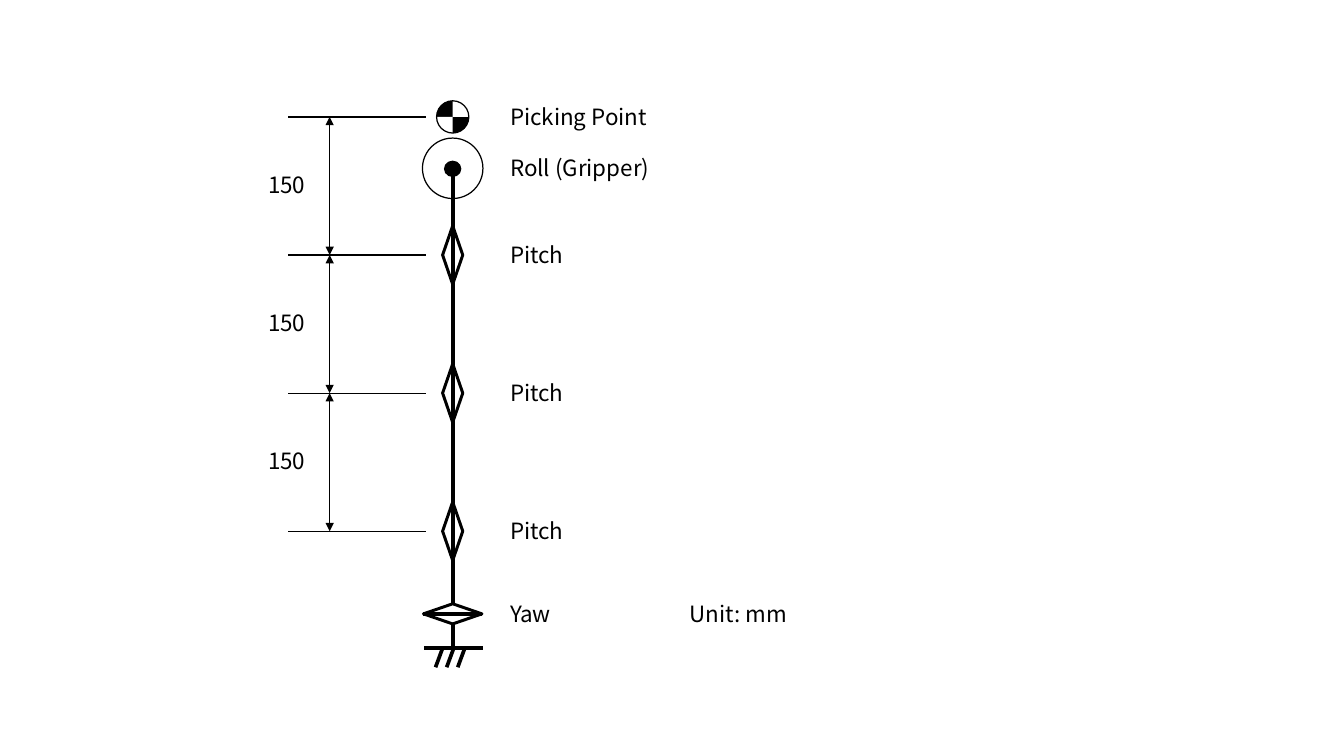
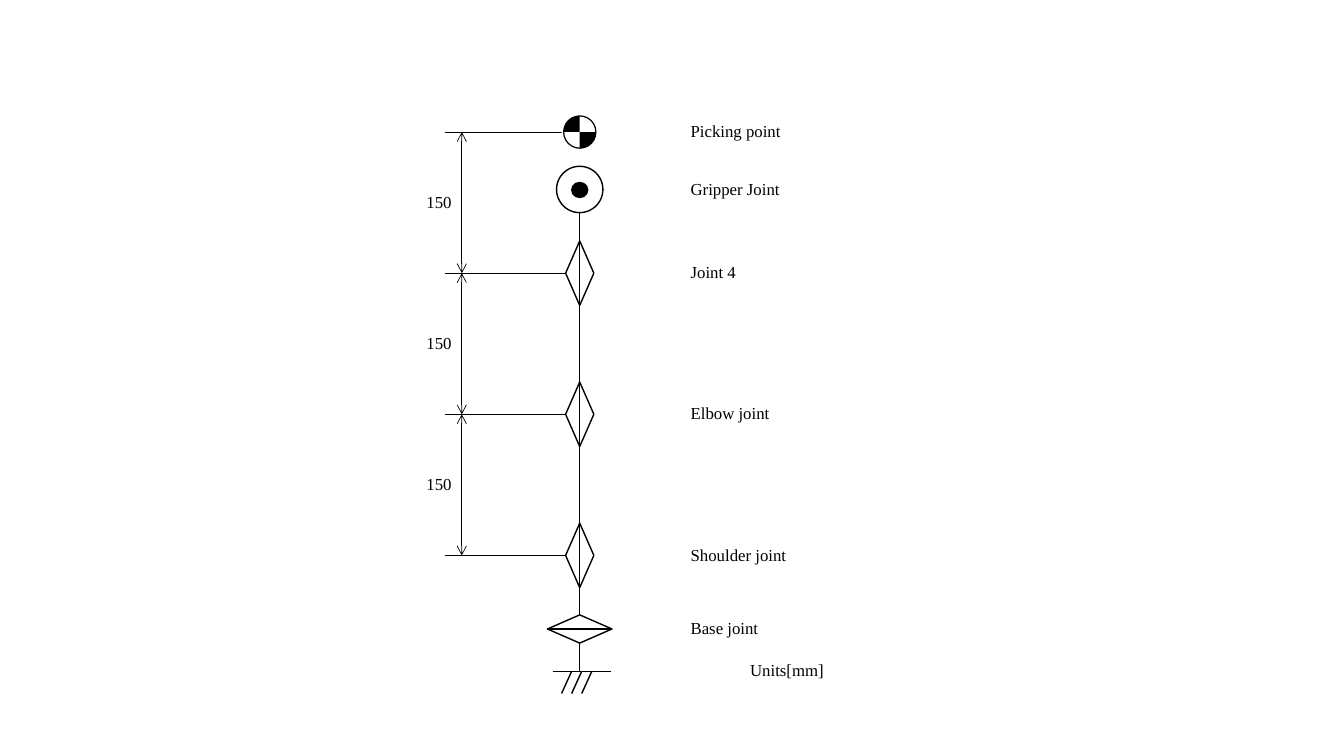
from dataclasses import dataclass
from itertools import pairwise

from lxml.etree import SubElement
from pptx import Presentation
from pptx.dml.color import RGBColor
from pptx.enum.shapes import MSO_CONNECTOR, MSO_SHAPE
from pptx.oxml.ns import qn
from pptx.util import Emu, Pt

EMU_PER_PX = 9144
TOP, LEFT, BOTTOM, RIGHT = range(4)


@dataclass(frozen=True)
class Theme:
    ink: RGBColor = RGBColor(0, 0, 0)
    paper: RGBColor = RGBColor(255, 255, 255)
    sans: str = "Noto Sans CJK JP"
    serif: str = "Times New Roman"
    sans_size: int = 16
    serif_size: int = 12
    outline: float = 0.88


THEME = Theme()


@dataclass(frozen=True)
class Diagram:
    font: str
    size: int
    text_rise: int
    link_width: float
    joint_width: float
    ring_width: float
    dim_width: float
    arrowhead: str
    axis_x: int
    top_y: int
    step: int
    roll_y: int
    ring: int
    link_start_y: int
    joint_length: int
    joint_breadth: int
    yaw_y: int
    ground_x: int
    ground_y: int
    hatch_step: int
    hatch_run: int
    hatch_drop: int
    dim_x: int
    dim_text_x: int
    extension: tuple
    label_x: int
    labels: tuple
    units: tuple


ARM_AXES = Diagram(
    font=THEME.sans, size=THEME.sans_size, text_rise=14,
    link_width=2.63, joint_width=2.13, ring_width=0.88,
    dim_width=0.88, arrowhead="triangle",
    axis_x=449, top_y=116, step=137,
    roll_y=167, ring=60, link_start_y=167,
    joint_length=58, joint_breadth=20,
    yaw_y=609, ground_x=450, ground_y=643,
    hatch_step=11, hatch_run=7, hatch_drop=19,
    dim_x=327, dim_text_x=266, extension=(286, 423),
    label_x=506,
    labels=("Picking Point", "Roll (Gripper)", "Pitch", "Pitch", "Pitch", "Yaw"),
    units=("Unit: mm", 684, 595),
)

ARM_JOINTS = Diagram(
    font=THEME.serif, size=THEME.serif_size, text_rise=11,
    link_width=1, joint_width=1, ring_width=1,
    dim_width=0.5, arrowhead="arrow",
    axis_x=575, top_y=131, step=140,
    roll_y=188, ring=46, link_start_y=211,
    joint_length=64, joint_breadth=28,
    yaw_y=624, ground_x=577, ground_y=666,
    hatch_step=10, hatch_run=10, hatch_drop=22,
    dim_x=458, dim_text_x=423, extension=(441, 561),
    label_x=685,
    labels=("Picking point", "Gripper Joint", "Joint 4", "Elbow joint",
            "Shoulder joint", "Base joint"),
    units=("Units[mm]", 744, 655),
)


def px(value):
    return Emu(value * EMU_PER_PX)


def add_figure(page, kind, x, y, width, height, fill=None, line=None):
    figure = page.shapes.add_shape(kind, px(x), px(y), px(width), px(height))
    figure.shadow.inherit = False
    if fill is None:
        figure.fill.background()
    else:
        figure.fill.solid()
        figure.fill.fore_color.rgb = fill
    if line is None:
        figure.line.fill.background()
    else:
        figure.line.color.rgb = THEME.ink
        figure.line.width = Pt(line)
    return figure


def add_centered(page, kind, x, y, width, height, **look):
    return add_figure(page, kind, x - width // 2, y - height // 2, width, height, **look)


def add_line(page, start, end, width, arrowhead=None):
    line = page.shapes.add_connector(
        MSO_CONNECTOR.STRAIGHT, *(px(value) for value in (*start, *end)))
    line.line.color.rgb = THEME.ink
    line.line.width = Pt(width)
    if arrowhead:
        stroke = line.line._get_or_add_ln()
        for tag in ("a:headEnd", "a:tailEnd"):
            SubElement(stroke, qn(tag), type=arrowhead)
    SubElement(line._element.spPr, qn("a:effectLst"))
    return line


def add_label(page, diagram, text, x, y, width=180):
    box = page.shapes.add_textbox(px(x), px(y), px(width), px(diagram.size * 2))
    frame = box.text_frame
    frame.word_wrap = True
    frame.margin_left = frame.margin_right = 0
    frame.margin_top = frame.margin_bottom = 0
    para = frame.paragraphs[0]
    para.text = text
    para.font.name = diagram.font
    para.font.size = Pt(diagram.size)
    para.font.color.rgb = THEME.ink


def add_joint(page, diagram, y, upright=True):
    size = (diagram.joint_breadth, diagram.joint_length)
    width, height = size if upright else size[::-1]
    joint = add_centered(page, MSO_SHAPE.DIAMOND, diagram.axis_x, y, width, height,
                         line=diagram.joint_width)
    sides = (TOP, BOTTOM) if upright else (LEFT, RIGHT)
    axis = add_line(page, (0, 0), (0, 0), diagram.link_width)
    axis.begin_connect(joint, sides[0])
    axis.end_connect(joint, sides[1])
    return joint


def add_target(page, x, y, size=32, cover=18):
    add_centered(page, MSO_SHAPE.OVAL, x, y, size, size, fill=THEME.ink)
    for left, top in ((x, y - cover), (x - cover, y)):
        add_figure(page, MSO_SHAPE.RECTANGLE, left, top, cover, cover, fill=THEME.paper)
    add_centered(page, MSO_SHAPE.OVAL, x, y, size, size, line=THEME.outline)


def add_gripper(page, diagram):
    center = (diagram.axis_x, diagram.roll_y)
    add_centered(page, MSO_SHAPE.OVAL, *center, diagram.ring, diagram.ring,
                 line=diagram.ring_width)
    add_centered(page, MSO_SHAPE.OVAL, *center, 16, 15,
                 fill=THEME.ink, line=THEME.outline)


def add_ground(page, diagram, half=29):
    x, y = diagram.ground_x, diagram.ground_y
    add_line(page, (x - half, y), (x + half, y), diagram.link_width)
    for index in (-1, 0, 1):
        top = x + index * diagram.hatch_step
        add_line(page, (top, y), (top - diagram.hatch_run, y + diagram.hatch_drop),
                 diagram.link_width)


def add_dimensions(page, diagram, levels):
    start, end = diagram.extension
    for y in levels:
        add_line(page, (start, y), (end, y), diagram.dim_width)
    for upper, lower in pairwise(levels):
        add_line(page, (diagram.dim_x, lower), (diagram.dim_x, upper),
                 diagram.dim_width, diagram.arrowhead)
        middle = (upper + lower) // 2
        add_label(page, diagram, "150", diagram.dim_text_x,
                  middle - diagram.text_rise, width=50)


def add_arm(page, diagram, pitch_levels):
    joints = [add_joint(page, diagram, y) for y in pitch_levels]
    joints.append(add_joint(page, diagram, diagram.yaw_y, upright=False))
    x = diagram.axis_x
    first = add_line(page, (x, diagram.link_start_y), (x, pitch_levels[0]),
                     diagram.link_width)
    first.end_connect(joints[0], TOP)
    for upper, lower in pairwise(joints):
        link = add_line(page, (0, 0), (0, 0), diagram.link_width)
        link.begin_connect(upper, BOTTOM)
        link.end_connect(lower, TOP)
    base = add_line(page, (x, diagram.yaw_y), (x, diagram.ground_y), diagram.link_width)
    base.begin_connect(joints[-1], BOTTOM)


def draw_diagram(page, diagram):
    levels = [diagram.top_y + index * diagram.step for index in range(4)]
    add_dimensions(page, diagram, levels)
    add_target(page, diagram.axis_x, diagram.top_y)
    add_gripper(page, diagram)
    add_arm(page, diagram, levels[1:])
    add_ground(page, diagram)
    rows = (levels[0], diagram.roll_y, *levels[1:], diagram.yaw_y)
    for text, y in zip(diagram.labels, rows):
        add_label(page, diagram, text, diagram.label_x, y - diagram.text_rise)
    add_label(page, diagram, *diagram.units)


def main():
    deck = Presentation()
    deck.slide_width, deck.slide_height = px(1333), px(750)
    blank = deck.slide_layouts[6]
    for diagram in (ARM_AXES, ARM_JOINTS):
        draw_diagram(deck.slides.add_slide(blank), diagram)
    deck.save("out.pptx")


if __name__ == "__main__":
    main()
